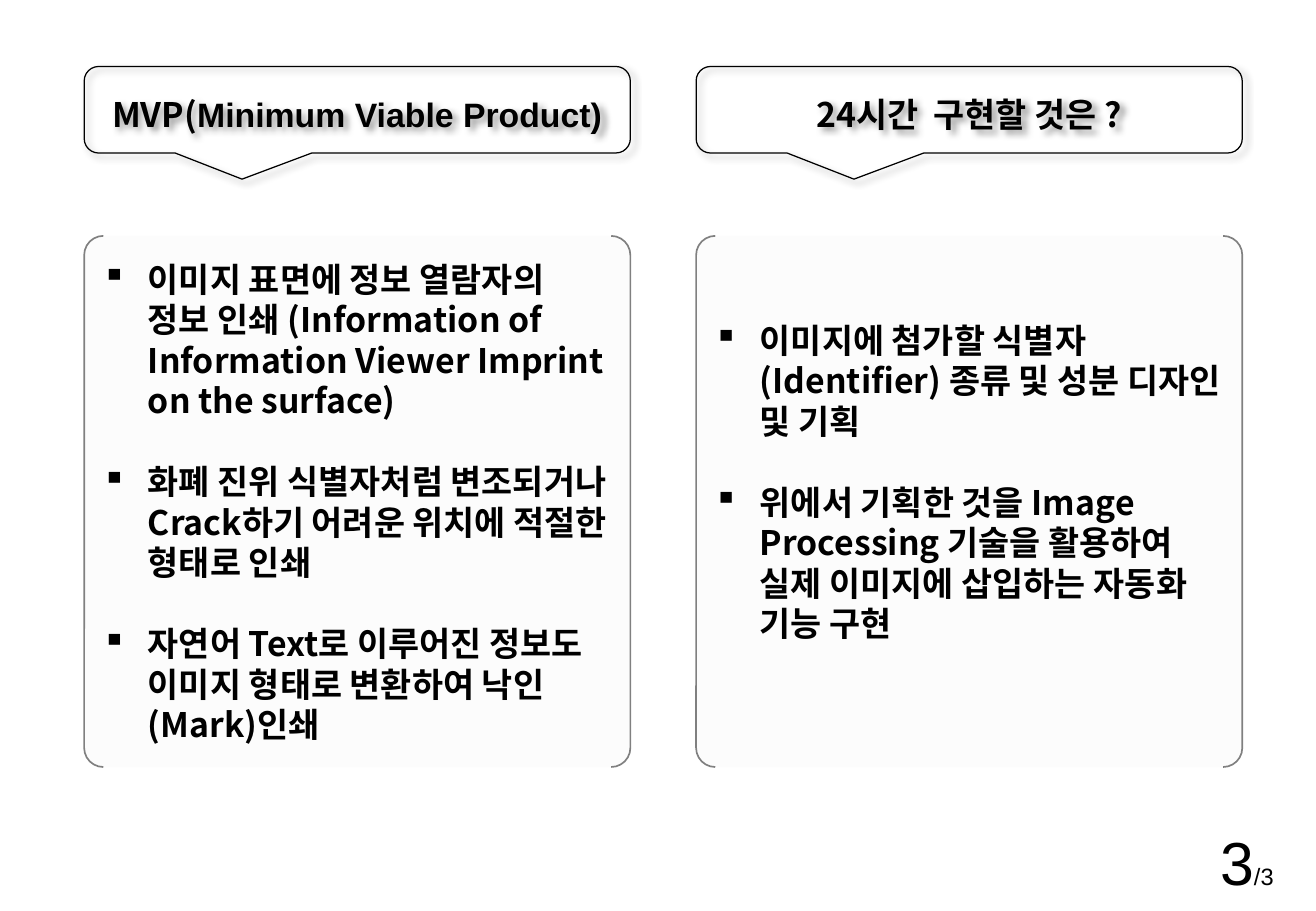
from pptx import Presentation
from pptx import util as u
from pptx.dml.color import RGBColor
from pptx.enum import shapes, text
from pptx.oxml import ns
from lxml import etree

HEX = {"ink": "000000", "panel": "F2F2F2", "edge": "808080"}
SANS, KOR = "Arial", "Noto Sans CJK KR"
WIDE, HIGH = u.Inches(10.83), u.Inches(7.5)

# Shares of the slide's width and height
LEFT, STEP, SPAN = 0.064, 0.465, 0.415
HEAD = (0.073, 0.095)
BODY = (0.259, 0.583)
PAGE = (0.762, 0.899, 0.215, 0.087)

COLUMNS = [
    ([("MVP(", KOR), ("Minimum Viable Product)", SANS)],
     ["이미지 표면에 정보 열람자의 정보 인쇄 (Information of "
      "Information Viewer Imprint on the surface)",
      "화폐 진위 식별자처럼 변조되거나 Crack하기 어려운 위치에 "
      "적절한 형태로 인쇄",
      "자연어 Text로 이루어진 정보도 이미지 형태로 변환하여 낙인 "
      "(Mark)인쇄"], 0.05),
    ([("24시간  구현할 것은 ?", KOR)],
     ["이미지에 첨가할 식별자  (Identifier) 종류 및 성분 디자인 및 기획",
      "위에서 기획한 것을 Image Processing 기술을 활용하여 "
      "실제 이미지에 삽입하는 자동화 기능 구현"], 0.38),
]


def color(key):
    return RGBColor.from_string(HEX[key])


def node(root, tag, **attrs):
    return etree.SubElement(root, ns.qn(tag), attrs)


def scale(box):
    x, y, w, h = box
    return int(x * WIDE), int(y * HIGH), int(w * WIDE), int(h * HIGH)


def style(font, size, bold=False):
    font.size, font.bold = u.Pt(size), bold
    font.color.rgb = color("ink")


def face(font, name):
    font.name = name
    node(font._element, "a:ea", typeface=name)


def frame(slide, kind, box, edge, width):
    """Outlined shape with wrapped, centred-in-height text."""
    shape = slide.shapes.add_shape(kind, *scale(box))
    shape.line.color.rgb = color(edge)
    shape.line.width = u.Pt(width)
    shape.shadow.inherit = False
    shape.text_frame.word_wrap = True
    shape.text_frame.vertical_anchor = text.MSO_ANCHOR.MIDDLE
    return shape


def header(slide, box, parts):
    kind = shapes.MSO_SHAPE.ROUNDED_RECTANGULAR_CALLOUT
    shape = frame(slide, kind, box, "ink", 0.75)
    for i, value in enumerate((-0.211, 0.802, 0.167)):
        shape.adjustments[i] = value
    shape.fill.background()

    # Soft shadow to the lower right
    glow = node(shape._element.spPr.find(ns.qn("a:effectLst")),
                "a:outerShdw", blurRad=str(u.Pt(4)), dist=str(u.Pt(3)),
                dir="2700000", algn="tl", rotWithShape="0")
    tint = node(glow, "a:srgbClr", val=HEX["ink"])
    node(tint, "a:alpha", val="40000")

    body = shape.text_frame
    body.margin_left = body.margin_right = 0
    para = body.paragraphs[0]
    para.alignment = text.PP_ALIGN.CENTER
    para.line_spacing = 1.2
    style(para.font, 20, True)
    for words, name in parts:
        run = para.add_run()
        run.text = words
        face(run.font, name)


def panel(slide, box, items, foot):
    shape = frame(slide, shapes.MSO_SHAPE.DOUBLE_BRACKET, box, "edge", 1)
    shape.adjustments[0] = 0.036
    shape.fill.solid()
    shape.fill.fore_color.rgb = color("panel")
    tint = shape._element.spPr.find(ns.qn("a:solidFill"))[0]
    node(tint, "a:alpha", val="20000")

    # Square bullets, one blank line's height apart
    body = shape.text_frame
    body.margin_bottom = u.Inches(foot)
    for i, words in enumerate(items):
        para = body.add_paragraph() if i else body.paragraphs[0]
        para.text = words
        para.alignment = text.PP_ALIGN.LEFT
        para.space_before = u.Pt(24 if i else 0)
        style(para.font, 20, True)
        face(para.font, KOR)
        props = para._p.get_or_add_pPr()
        props.set("marL", str(u.Inches(0.38)))
        props.set("indent", str(u.Inches(-0.38)))
        mark = etree.Element(ns.qn("a:buChar"), char="▪")
        props.find(ns.qn("a:defRPr")).addprevious(mark)


def pager(slide, box, parts):
    body = slide.shapes.add_textbox(*scale(box)).text_frame
    body.word_wrap = True
    para = body.paragraphs[0]
    para.alignment = text.PP_ALIGN.RIGHT
    para.font.name = SANS
    for words, size in parts:
        run = para.add_run()
        run.text = words
        style(run.font, size)


deck = Presentation()
deck.slide_width, deck.slide_height = WIDE, HIGH
page = deck.slides.add_slide(deck.slide_layouts[6])

# Two columns: callout above, bracketed list below
for n, (title, items, foot) in enumerate(COLUMNS):
    x = LEFT + n * STEP
    header(page, (x, HEAD[0], SPAN, HEAD[1]), title)
    panel(page, (x, BODY[0], SPAN, BODY[1]), items, foot)

# Page count
pager(page, PAGE, [("3", 36), ("/3", 14)])

deck.save("out.pptx")
